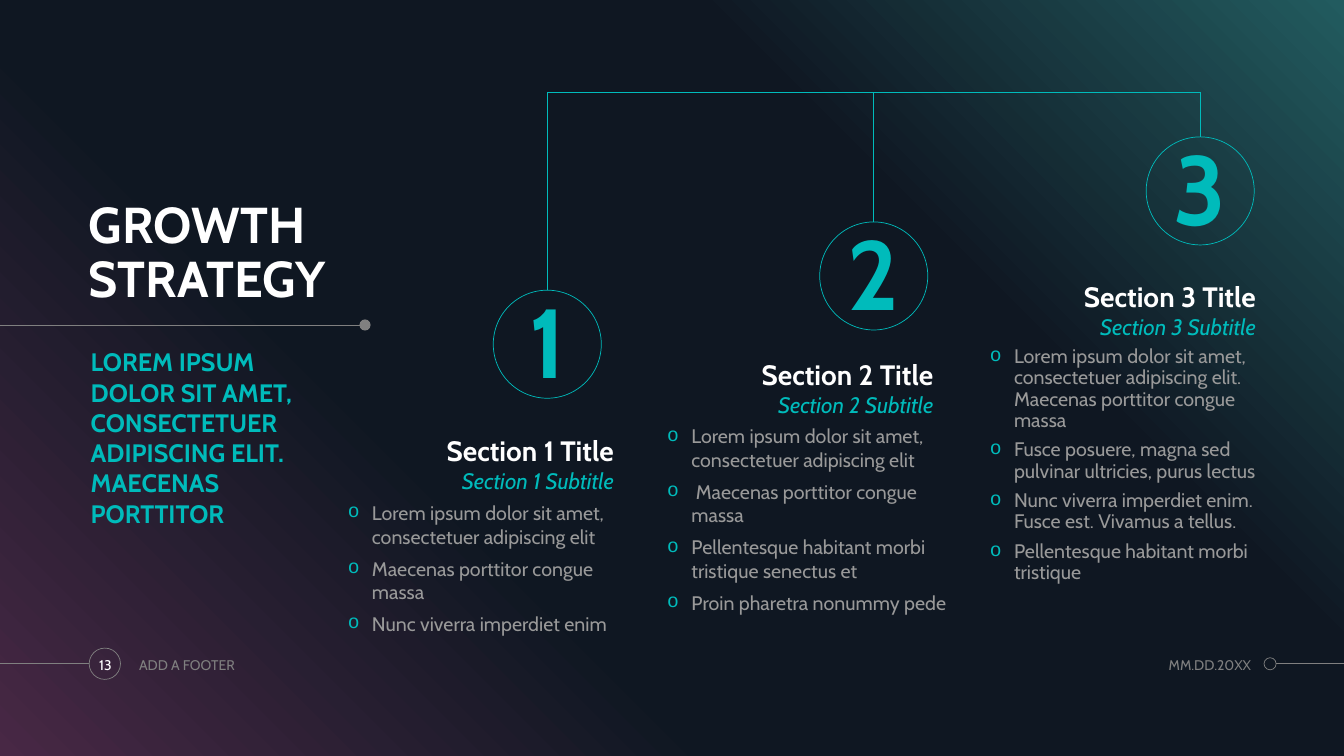
from copy import deepcopy

from lxml.etree import SubElement
from pptx import Presentation
from pptx.dml.color import RGBColor
from pptx.enum.shapes import MSO_CONNECTOR, MSO_SHAPE
from pptx.enum.text import MSO_ANCHOR as Anchor, MSO_AUTO_SIZE, PP_ALIGN as Align
from pptx.oxml.ns import qn
from pptx.util import Inches, Pt

SLIDE_W, SLIDE_H = Inches(13.333), Inches(7.5)
FONT = "Cabin"
TEAL = RGBColor(0x00, 0xBB, 0xBB)
WHITE = RGBColor(0xFF, 0xFF, 0xFF)
GREY = RGBColor(0x80, 0x80, 0x80)
LIGHT_GREY = RGBColor(0x99, 0x99, 0x99)
PLUM = RGBColor(0x48, 0x28, 0x45)
NIGHT = RGBColor(0x0F, 0x17, 0x22)
PINE = RGBColor(0x22, 0x5B, 0x5F)
BACKDROP_STOPS = [(0, PLUM), (0.34, NIGHT), (0.69, NIGHT), (1, PINE)]

# Positions are percentages of the slide's width and height;
# diameters are percentages of its width.
RULE_Y = 42.99
FOOTER_Y = 87.8
BUS_Y = 12.2
BADGE_SIZE = 8.04
FIRST_BADGE_X, BADGE_STEP = 40.72, 24.29

# badge centre y, text left, text top, list height, list line spacing, list items
SECTIONS = [
    (45.53, 25.88, 56.67, 18.67, 1.0, [
        "Lorem ipsum dolor sit amet, consectetuer adipiscing elit",
        "Maecenas porttitor congue massa",
        "Nunc viverra imperdiet enim",
    ]),
    (36.5, 49.65, 46.53, 26, 1.0, [
        "Lorem ipsum dolor sit amet, consectetuer adipiscing elit",
        " Maecenas porttitor congue massa",
        "Pellentesque habitant morbi tristique senectus et",
        "Proin pharetra nonummy pede",
    ]),
    (25.25, 73.65, 36.27, 33.73, 0.9, [
        "Lorem ipsum dolor sit amet, consectetuer adipiscing elit. "
        "Maecenas porttitor congue massa",
        "Fusce posuere, magna sed pulvinar ultricies, purus lectus",
        "Nunc viverra imperdiet enim. Fusce est. Vivamus a tellus.",
        "Pellentesque habitant morbi tristique",
    ]),
]


def across(share):
    return round(SLIDE_W * share / 100)


def down(share):
    return round(SLIDE_H * share / 100)


def frame(left, top, width, height):
    return across(left), down(top), across(width), down(height)


def radius_down(diameter):
    """Half a diameter, turned from a share of the width into one of the height."""
    return diameter / 2 * SLIDE_W / SLIDE_H


def paint_backdrop(slide):
    backdrop = slide.shapes.add_shape(MSO_SHAPE.RECTANGLE, 0, 0, SLIDE_W, SLIDE_H)
    backdrop.shadow.inherit = False
    backdrop.line.fill.background()
    backdrop.fill.gradient()
    backdrop.fill.gradient_angle = 45
    stop_list = backdrop.fill._fill._gradFill.gsLst
    for first_stop in list(stop_list):
        stop_list.append(deepcopy(first_stop))
    for stop, (position, color) in zip(backdrop.fill.gradient_stops, BACKDROP_STOPS):
        stop.position = position
        stop.color.rgb = color


def add_line(slide, x1, y1, x2, y2, color):
    line = slide.shapes.add_connector(
        MSO_CONNECTOR.STRAIGHT, across(x1), down(y1), across(x2), down(y2))
    line.line.color.rgb = color
    line.line.width = Pt(0.5)
    SubElement(line.element.spPr, qn("a:effectLst"))


def add_circle(slide, center_x, center_y, diameter, color, filled=False):
    size = across(diameter)
    circle = slide.shapes.add_shape(
        MSO_SHAPE.OVAL, across(center_x) - size // 2, down(center_y) - size // 2, size, size)
    circle.shadow.inherit = False
    if filled:
        circle.fill.solid()
        circle.fill.fore_color.rgb = color
        circle.line.fill.background()
    else:
        circle.fill.background()
        circle.line.color.rgb = color
        circle.line.width = Pt(0.5)
    return circle


def write(shape, text, size, color, align=Align.LEFT, anchor=Anchor.TOP,
          bold=False, italic=False, spacing=1.0):
    text_frame = shape.text_frame
    text_frame.text = text
    text_frame.word_wrap = True
    text_frame.auto_size = MSO_AUTO_SIZE.NONE
    text_frame.vertical_anchor = anchor
    text_frame.margin_left = text_frame.margin_right = 0
    text_frame.margin_top = text_frame.margin_bottom = 0
    for paragraph in text_frame.paragraphs:
        paragraph.alignment = align
        paragraph.line_spacing = spacing
        for run in paragraph.runs:
            run.font.name = FONT
            run.font.size = Pt(size)
            run.font.bold = bold
            run.font.italic = italic
            run.font.color.rgb = color


def add_text(slide, box, text, size, color, **style):
    label = slide.shapes.add_textbox(*frame(*box))
    write(label, text, size, color, **style)
    return label


def add_bullets(slide, box, items, spacing):
    bullets = add_text(slide, box, "\n".join(items), 14, LIGHT_GREY, spacing=spacing)
    for index, paragraph in enumerate(bullets.text_frame.paragraphs):
        if index:
            paragraph.space_before = Pt(6)
        properties = paragraph._p.get_or_add_pPr()
        properties.set("marL", str(Inches(0.24)))
        properties.set("indent", str(-Inches(0.24)))
        bullet_color = SubElement(properties, qn("a:buClr"))
        SubElement(bullet_color, qn("a:srgbClr"), val=str(TEAL))
        SubElement(properties, qn("a:buFont"), typeface="Courier New")
        SubElement(properties, qn("a:buChar"), char="o")


def add_section(slide, number, badge_y, left, top, list_height, spacing, items):
    badge_x = FIRST_BADGE_X + (number - 1) * BADGE_STEP
    add_line(slide, badge_x, badge_y - radius_down(BADGE_SIZE), badge_x, BUS_Y, TEAL)
    badge = add_circle(slide, badge_x, badge_y, BADGE_SIZE, TEAL)
    write(badge, str(number), 70, TEAL, align=Align.CENTER, anchor=Anchor.MIDDLE,
          bold=True, spacing=0.9)
    badge.text_frame.margin_top = Inches(0.06)
    heading_style = dict(align=Align.RIGHT, anchor=Anchor.BOTTOM, spacing=0.9)
    add_text(slide, (left, top, 19.8, 5.2), f"Section {number} Title", 20, WHITE,
             bold=True, **heading_style)
    add_text(slide, (left, top + 5.27, 19.8, 3.47), f"Section {number} Subtitle", 16, TEAL,
             italic=True, **heading_style)
    add_bullets(slide, (left, top + 9.6, 21.23, list_height), items, spacing)


def add_heading(slide):
    title = slide.shapes.title
    title.left, title.top, title.width, title.height = frame(6.6, 22, 23.18, 18.8)
    write(title, "GROWTH\vSTRATEGY", 36, WHITE, anchor=Anchor.BOTTOM, bold=True, spacing=0.9)
    title.element.getparent().append(title.element)  # in front of the backdrop
    add_line(slide, 0, RULE_Y, 26.85, RULE_Y, GREY)
    add_circle(slide, 27.16, RULE_Y, 0.83, GREY, filled=True)
    add_text(slide, (6.75, 45.87, 18.15, 30.53),
             "LOREM IPSUM DOLOR SIT AMET, CONSECTETUER ADIPISCING ELIT. MAECENAS PORTTITOR",
             18, TEAL, bold=True)


def add_footer(slide):
    add_line(slide, 0, FOOTER_Y, 6.62, FOOTER_Y, GREY)
    add_circle(slide, 7.8, FOOTER_Y, 2.33, GREY)
    add_circle(slide, 94.5, FOOTER_Y, 0.9, GREY)
    add_line(slide, 94.95, FOOTER_Y, 100, FOOTER_Y, GREY)
    for left, width, text, color, align in [
        (6.38, 2.93, "13", WHITE, Align.CENTER),
        (10.35, 22.4, "ADD A FOOTER", GREY, Align.LEFT),
        (82.13, 10.95, "MM.DD.20XX", GREY, Align.RIGHT),
    ]:
        add_text(slide, (left, 85.73, width, 4.4), text, 10, color,
                 align=align, anchor=Anchor.MIDDLE)


def main():
    deck = Presentation()
    deck.slide_width, deck.slide_height = SLIDE_W, SLIDE_H
    slide = deck.slides.add_slide(deck.slide_layouts[5])
    paint_backdrop(slide)
    add_heading(slide)
    last_badge_x = FIRST_BADGE_X + (len(SECTIONS) - 1) * BADGE_STEP
    add_line(slide, FIRST_BADGE_X, BUS_Y, last_badge_x, BUS_Y, TEAL)
    for number, section in enumerate(SECTIONS, start=1):
        add_section(slide, number, *section)
    add_footer(slide)
    deck.save("out.pptx")


if __name__ == "__main__":
    main()
